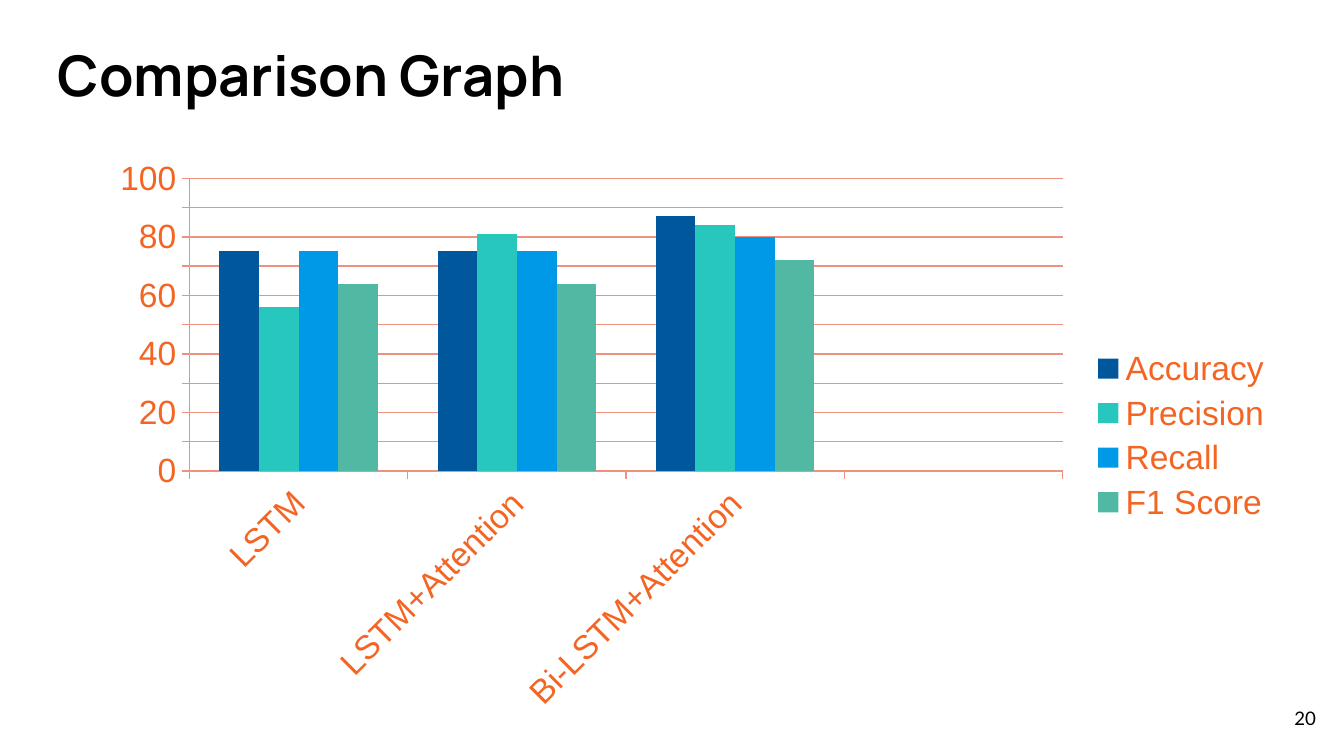
from dataclasses import dataclass

from lxml import etree
from pptx import Presentation
from pptx import util as u
from pptx.chart.data import CategoryChartData
from pptx.dml.color import RGBColor
from pptx.enum import chart as ch, text
from pptx.oxml import parse_xml
from pptx.oxml.ns import nsdecls

W = u.Inches(10)
H = W * 9 // 16


@dataclass(frozen=True)
class Theme:
    ink: str = "000000"
    label: str = "F46524"
    rule: str = "F0917F"
    title_font: str = "Manrope"
    number_font: str = "Lato"
    chart_font: str = "Arial"
    title_size: int = 30
    number_size: int = 10
    chart_size: int = 18


THEME = Theme()

# The last slot of the category axis is left empty
CATEGORIES = ["LSTM", "LSTM+Attention", "Bi-LSTM+Attention"]
SERIES = [
    ("Accuracy", "01579B", (75, 75, 87, None)),
    ("Precision", "27C7BD", (56, 81, 84, None)),
    ("Recall", "0099E8", (75, 75, 80, None)),
    ("F1 Score", "51B9A3", (64, 64, 72, None)),
]


def box(x, y, w, h):
    """Turn percentages of the slide into lengths."""
    return tuple(u.Emu(round(share * side / 100))
                 for share, side in zip((x, y, w, h), (W, H, W, H)))


def style_font(font, name, size, color, bold=False):
    font.name, font.size, font.bold = name, u.Pt(size), bold
    font.color.rgb = RGBColor.from_string(color)


def write_line(sp, line, align, **style):
    tf = sp.text_frame
    tf.word_wrap = True
    tf.auto_size = text.MSO_AUTO_SIZE.NONE
    tf.vertical_anchor = text.MSO_ANCHOR.MIDDLE
    tf.margin_left = tf.margin_right = u.Inches(0.1)
    tf.margin_top = tf.margin_bottom = u.Inches(0.1)
    p = tf.paragraphs[0]
    p.alignment = align
    r = p.add_run()
    r.text = line
    style_font(r.font, **style)


def place_title(s, area, line):
    sp = s.shapes.title
    sp.left, sp.top, sp.width, sp.height = area
    write_line(sp, line, text.PP_ALIGN.LEFT, name=THEME.title_font,
               size=THEME.title_size, color=THEME.ink, bold=True)


def place_number(s, area, number):
    write_line(s.shapes.add_textbox(*area), number, text.PP_ALIGN.RIGHT,
               name=THEME.number_font, size=THEME.number_size, color=THEME.ink)


def draw_rule(line):
    line.color.rgb = RGBColor.from_string(THEME.rule)
    line.width = u.Pt(0.75)


def fix_plot_area(chart, **percent):
    """Hold the inner plot at percentages of the chart's box."""
    plot_area = chart._chartSpace.chart.plotArea
    for old in plot_area.findall("{*}layout"):
        plot_area.remove(old)
    layout = parse_xml(f"<c:layout {nsdecls('c')}><c:manualLayout/></c:layout>")
    settings = dict(layoutTarget="inner", xMode="edge", yMode="edge")
    settings.update((tag, share / 100) for tag, share in percent.items())
    for tag, val in settings.items():
        etree.SubElement(layout[0], f"{{{layout.nsmap['c']}}}{tag}", val=str(val))
    plot_area.insert(0, layout)


def place_chart(s, area):
    data = CategoryChartData()
    data.categories = CATEGORIES
    for name, _, values in SERIES:
        data.add_series(name, values)
    chart = s.shapes.add_chart(ch.XL_CHART_TYPE.COLUMN_CLUSTERED, *area, data).chart
    style_font(chart.font, THEME.chart_font, THEME.chart_size, THEME.label)
    chart.has_title = False
    fix_plot_area(chart, x=7.8, y=5.3, w=73.4, h=50.9)

    # Columns
    plot = chart.plots[0]
    plot.gap_width, plot.overlap, plot.vary_by_categories = 150, 0, False
    for series, (_, color, _) in zip(plot.series, SERIES):
        series.format.fill.solid()
        series.format.fill.fore_color.rgb = RGBColor.from_string(color)

    # Axes
    for axis in (chart.category_axis, chart.value_axis):
        axis.major_tick_mark = ch.XL_TICK_MARK.OUTSIDE
        draw_rule(axis.format.line)
    value = chart.value_axis
    value.minimum_scale, value.maximum_scale, value.major_unit = 0, 100, 10
    draw_rule(value.major_gridlines.format.line)
    labels = chart.category_axis.tick_labels
    style_font(labels.font, THEME.chart_font, THEME.chart_size, THEME.label)
    chart.category_axis._element.txPr.bodyPr.set("rot", str(-45 * 60000))

    # Legend
    chart.has_legend = True
    chart.legend.position = ch.XL_LEGEND_POSITION.RIGHT
    chart.legend.include_in_layout = False


def main():
    prs = Presentation()
    prs.slide_width, prs.slide_height = W, H
    s = prs.slides.add_slide(prs.slide_layouts[5])
    place_title(s, box(3.3, 3.56, 93.2, 12.44), "Comparison Graph")
    place_number(s, box(92.9, 91.2, 6, 7.64), "20")
    place_chart(s, box(7.2, 19.56, 88.5, 76.09))
    prs.save("out.pptx")


if __name__ == "__main__":
    main()
